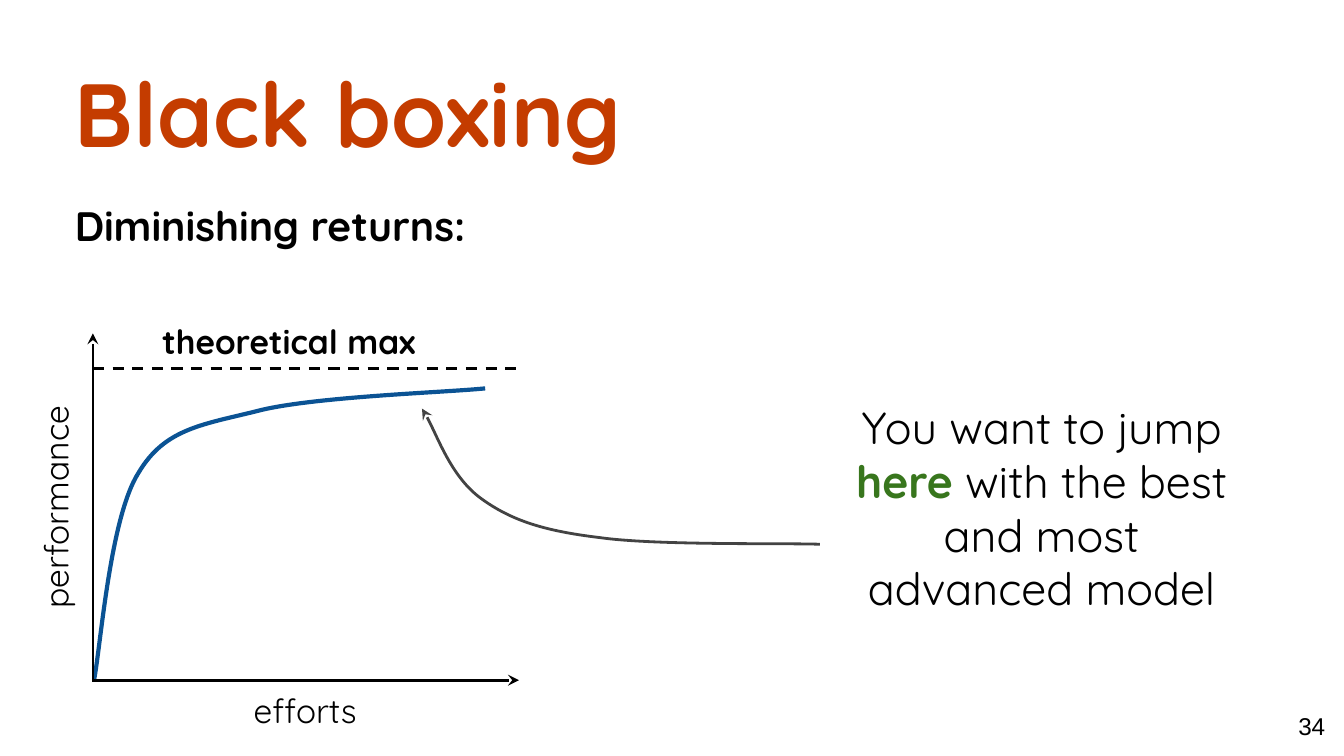
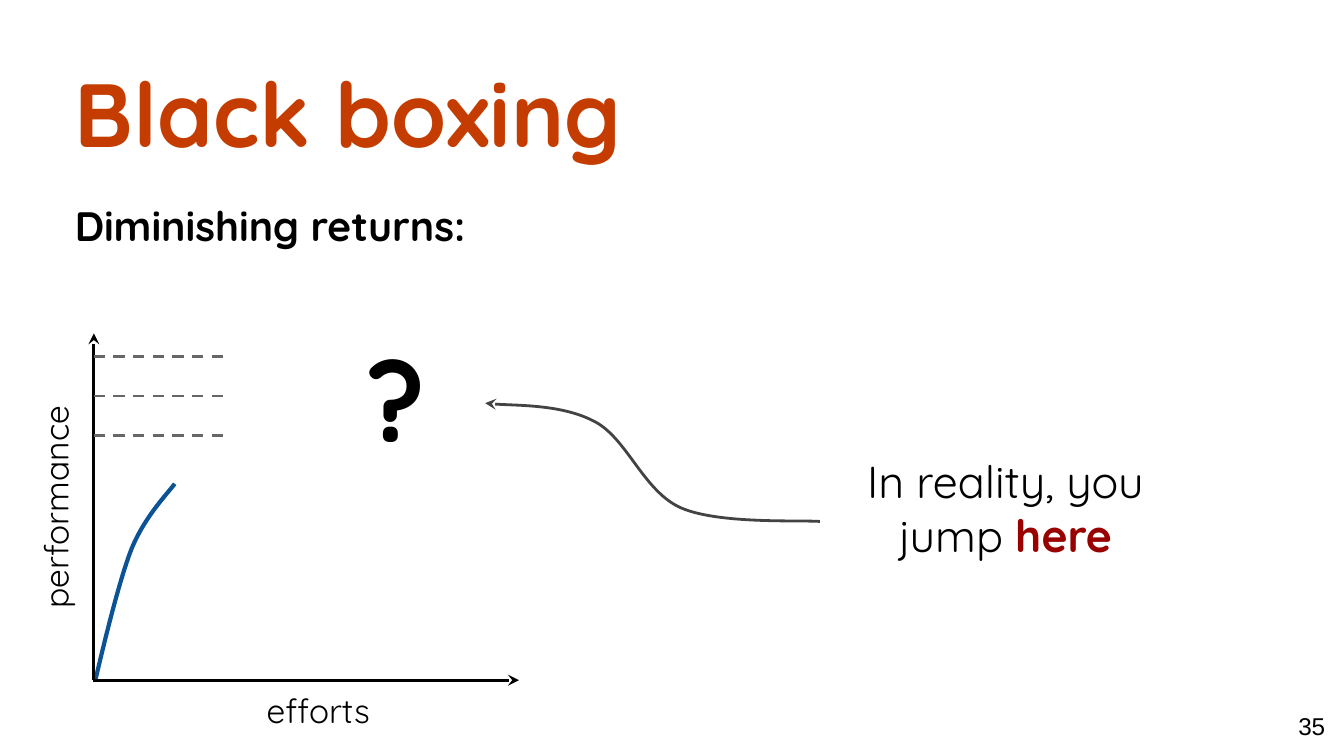
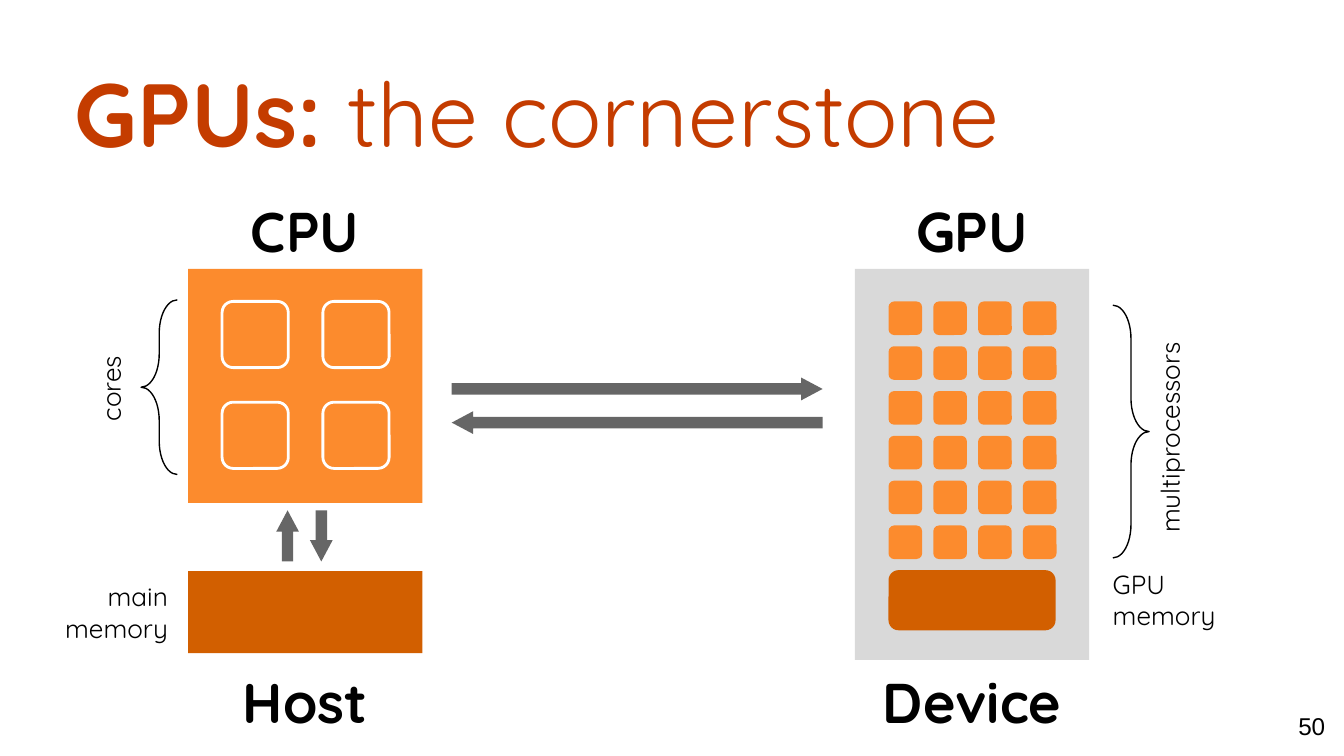
from itertools import product

from pptx import Presentation
from pptx.dml.color import RGBColor
from pptx.enum.dml import MSO_LINE
from pptx.enum.shapes import MSO_CONNECTOR, MSO_SHAPE
from pptx.enum.text import MSO_ANCHOR, PP_ALIGN
from pptx.oxml.ns import qn
from pptx.oxml.xmlchemy import OxmlElement
from pptx.util import Pt

BLACK = RGBColor(0x00, 0x00, 0x00)
WHITE = RGBColor(0xFF, 0xFF, 0xFF)
RUST = RGBColor(0xC4, 0x3C, 0x00)
BLUE = RGBColor(0x0B, 0x53, 0x94)
GREEN = RGBColor(0x38, 0x76, 0x1D)
RED = RGBColor(0x99, 0x00, 0x00)
CHARCOAL = RGBColor(0x43, 0x43, 0x43)
GRAY = RGBColor(0x66, 0x66, 0x66)
SILVER = RGBColor(0xD9, 0xD9, 0xD9)
ORANGE = RGBColor(0xFC, 0x8B, 0x2D)
BURNT = RGBColor(0xD2, 0x5F, 0x00)

FONT = "Quicksand"
LEFT, CENTER, RIGHT = PP_ALIGN.LEFT, PP_ALIGN.CENTER, PP_ALIGN.RIGHT


class Deck:
    def __init__(self):
        self.presentation = Presentation()
        self.presentation.slide_width = Pt(720)
        self.presentation.slide_height = Pt(405)
        self.shapes = None

    def new_slide(self, title, number):
        layout = self.presentation.slide_layouts[6]
        self.shapes = self.presentation.slides.add_slide(layout).shapes
        self.text((33, 23.8, 666, 106.5), title, size=48, bold=True, color=RUST)
        self.text((674, 373.7, 43, 31), number, size=13, font=FONT if not number else "Arial",
                  align=RIGHT)

    def text(self, box, *paragraphs, size=18, bold=False, color=BLACK, font=FONT,
             align=LEFT, middle=False, rotation=0):
        """Each paragraph is a string, or a list of (text, bold, color) runs."""
        area = self.shapes.add_textbox(*map(Pt, box))
        area.rotation = rotation
        frame = area.text_frame
        frame.word_wrap = True
        frame.vertical_anchor = MSO_ANCHOR.MIDDLE if middle else MSO_ANCHOR.TOP
        frame.margin_left = frame.margin_right = Pt(7.2)
        frame.margin_top = frame.margin_bottom = Pt(7.2)
        for index, content in enumerate(paragraphs):
            paragraph = frame.paragraphs[0] if index == 0 else frame.add_paragraph()
            paragraph.alignment = align
            paragraph.font.name = font
            paragraph.font.size = Pt(size)
            if isinstance(content, str):
                paragraph.add_run().text = content
                paragraph.font.bold = bold
                paragraph.font.color.rgb = color
                continue
            for words, run_bold, run_color in content:
                run = paragraph.add_run()
                run.text = words
                run.font.bold = run_bold
                run.font.color.rgb = run_color
        return frame

    def shape(self, kind, box, fill=None, line=None, width=1.5, adjust=(), rotation=0):
        shape = self.shapes.add_shape(kind, *map(Pt, box))
        shape.shadow.inherit = False
        shape.rotation = rotation
        for index, value in enumerate(adjust):
            shape.adjustments[index] = value
        if fill is None:
            shape.fill.background()
        else:
            shape.fill.solid()
            shape.fill.fore_color.rgb = fill
        if line is None:
            shape.line.fill.background()
        else:
            self.stroke(shape.line, line, width)

    def rounded(self, box, **style):
        self.shape(MSO_SHAPE.ROUNDED_RECTANGLE, box, adjust=(0.167,), **style)

    def block_arrow(self, box, rotation=0):
        self.shape(MSO_SHAPE.RIGHT_ARROW, box, fill=GRAY, adjust=(0.5, 0.939),
                   rotation=rotation)

    def brace(self, box, rotation=0):
        self.shape(MSO_SHAPE.RIGHT_BRACE, box, line=BLACK, width=0.75,
                   adjust=(0.92, 0.5), rotation=rotation)

    def stroke(self, line, color, width, dashed=False, arrow=False):
        line.color.rgb = color
        line.width = Pt(width)
        if dashed:
            line.dash_style = MSO_LINE.DASH
        if arrow:
            head = OxmlElement("a:tailEnd")
            head.set("type", "stealth")
            line._get_or_add_ln().append(head)

    def line(self, start, end, color=BLACK, **style):
        connector = self.shapes.add_connector(
            MSO_CONNECTOR.STRAIGHT, *map(Pt, (*start, *end)))
        connector._element.spPr.append(OxmlElement("a:effectLst"))
        # The outline goes before the effect list, as the schema requires.
        self.stroke(connector.line, color, 1.5, **style)

    def curve(self, points, color, width, arrow=False):
        """Draw joined Bézier curves: a start, then two controls and an end for each."""
        start, *others = [(Pt(x), Pt(y)) for x, y in points]
        builder = self.shapes.build_freeform(*start)
        builder.add_line_segments(others, close=False)
        shape = builder.convert_to_shape()
        shape.shadow.inherit = False
        shape.fill.background()
        self.stroke(shape.line, color, width, arrow=arrow)
        segments = list(shape._element.iter(qn("a:lnTo")))
        for first in range(0, len(segments), 3):
            bezier = OxmlElement("a:cubicBezTo")
            segments[first].addprevious(bezier)
            for segment in segments[first:first + 3]:
                bezier.append(segment[0])
                segment.getparent().remove(segment)

    def returns_plot(self, number, curve, efforts_left, axis_left):
        self.new_slide("Black boxing", number)
        self.curve(curve, BLUE, 2.25)
        subtitle = self.text((33, 96.5, 653, 58.3), "Diminishing returns:",
                             size=22, bold=True).paragraphs[0]
        subtitle.line_spacing = 1.15
        subtitle.space_before, subtitle.space_after = Pt(10), Pt(8)
        self.line((axis_left, 364.4), (axis_left, 178.6), arrow=True)
        self.line((axis_left - 0.5, 364.4), (278, 364.4), arrow=True)
        self.text((efforts_left, 364.4, 275, 32.4), "efforts", align=CENTER, middle=True)
        self.text((-108, 255.6, 275, 32.4), "performance", align=CENTER, middle=True,
                  rotation=270)

    def statement(self, width, runs):
        self.text((445.7, 255.6, width, 32.4), runs, size=24, align=CENTER, middle=True)


def build_theory(deck):
    deck.returns_plot("34", [
        (50.4, 364.3), (54, 345.6), (59, 277.2), (74.2, 253.4), (88.6, 229),
        (109.4, 227.5), (140.4, 219.6), (171.4, 212.4), (239.8, 210.2), (259.9, 208.1),
    ], efforts_left=26, axis_left=49.8)
    deck.line((49.8, 197.3), (278.6, 197.3), dashed=True)
    deck.text((17.3, 166.3, 275, 32.4), "theoretical max", bold=True, align=CENTER,
              middle=True)
    deck.statement(224.6, [("You want to jump ", False, BLACK), ("here", True, GREEN),
                           (" with the best and most advanced model", False, BLACK)])
    deck.curve([
        (439.2, 291.6), (419, 290.9), (351.4, 292.3), (321.1, 288), (290.9, 284.4),
        (273.6, 278.6), (257.8, 267.1), (241.9, 255.6), (231.8, 226.8), (226.1, 218.9),
    ], CHARCOAL, 1.5, arrow=True)


def build_reality(deck):
    deck.returns_plot("35", [
        (51.1, 364.3), (54, 352.1), (63.4, 311.8), (70.6, 293.8), (77.8, 276.5),
        (89.3, 265), (93.6, 259.2),
    ], efforts_left=33, axis_left=50.3)
    for level in range(3):
        height = 191 + 21.2 * level
        deck.line((50.3, height), (122.4, height), GRAY, dashed=True)
    deck.text((187.2, 196.6, 49.7, 32.4), "?", size=60, bold=True, align=CENTER,
              middle=True)
    deck.statement(185.8, [("In reality, you jump ", False, BLACK), ("here", True, RED)])
    deck.curve([
        (439.2, 279.4), (427, 278.6), (385.2, 280.8), (365, 272.2), (344.9, 263.5),
        (336.2, 235.4), (319, 226.1), (301.7, 216.7), (269.3, 217.4), (259.9, 216),
    ], CHARCOAL, 1.5, arrow=True)


def build_gpus(deck):
    deck.new_slide([("GPUs: ", True, RUST), ("the cornerstone", False, RUST)], "50")

    deck.shape(MSO_SHAPE.RECTANGLE, (100.8, 144, 125.5, 125.5), fill=ORANGE)
    for row, column in product(range(2), range(2)):
        deck.rounded((119 + 54 * column, 161.5 + 54 * row, 35.5, 35.5), line=WHITE)
    deck.shape(MSO_SHAPE.RECTANGLE, (100.8, 306, 125.5, 44), fill=BURNT)

    deck.shape(MSO_SHAPE.RECTANGLE, (458, 144, 125.5, 209.5), fill=SILVER)
    for row, column in product(range(6), range(4)):
        deck.rounded((476 + 24 * column, 161.5 + 24 * row, 18, 18), fill=ORANGE)
    deck.rounded((476, 305.5, 89.5, 32.2), fill=BURNT)

    for top, rotation in ((202.3, 0), (220.3, 180)):
        deck.block_arrow((242, top, 198.7, 12.2), rotation)
    for left, rotation in ((158.4, 90), (140.4, 270)):
        deck.block_arrow((left, 281, 27.4, 12.2), rotation)
    deck.brace((75.6, 160.6, 19.4, 93.6), rotation=180)
    deck.brace((596.2, 163.5, 19.4, 135.4))

    for name, center, top in (("CPU", 163.5, 98), ("GPU", 520.8, 98),
                              ("Host", 163.5, 350.6), ("Device", 520.8, 350.6)):
        deck.text((center - 58, top, 116, 46), name, size=30, bold=True, align=CENTER)
    deck.text((2.9, 187.2, 123, 41.8), "cores", size=14, align=CENTER, rotation=270)
    deck.text((570.2, 210.2, 123, 41.8), "multiprocessors", size=14, rotation=270)
    deck.text((-38.9, 305.3, 136, 45.4), "main", "memory", size=14, align=RIGHT,
              middle=True)
    deck.text((589, 304.6, 105, 33), "GPU", "memory", size=14, middle=True)


def main():
    deck = Deck()
    build_theory(deck)
    build_reality(deck)
    build_gpus(deck)
    deck.presentation.save("out.pptx")


if __name__ == "__main__":
    main()
